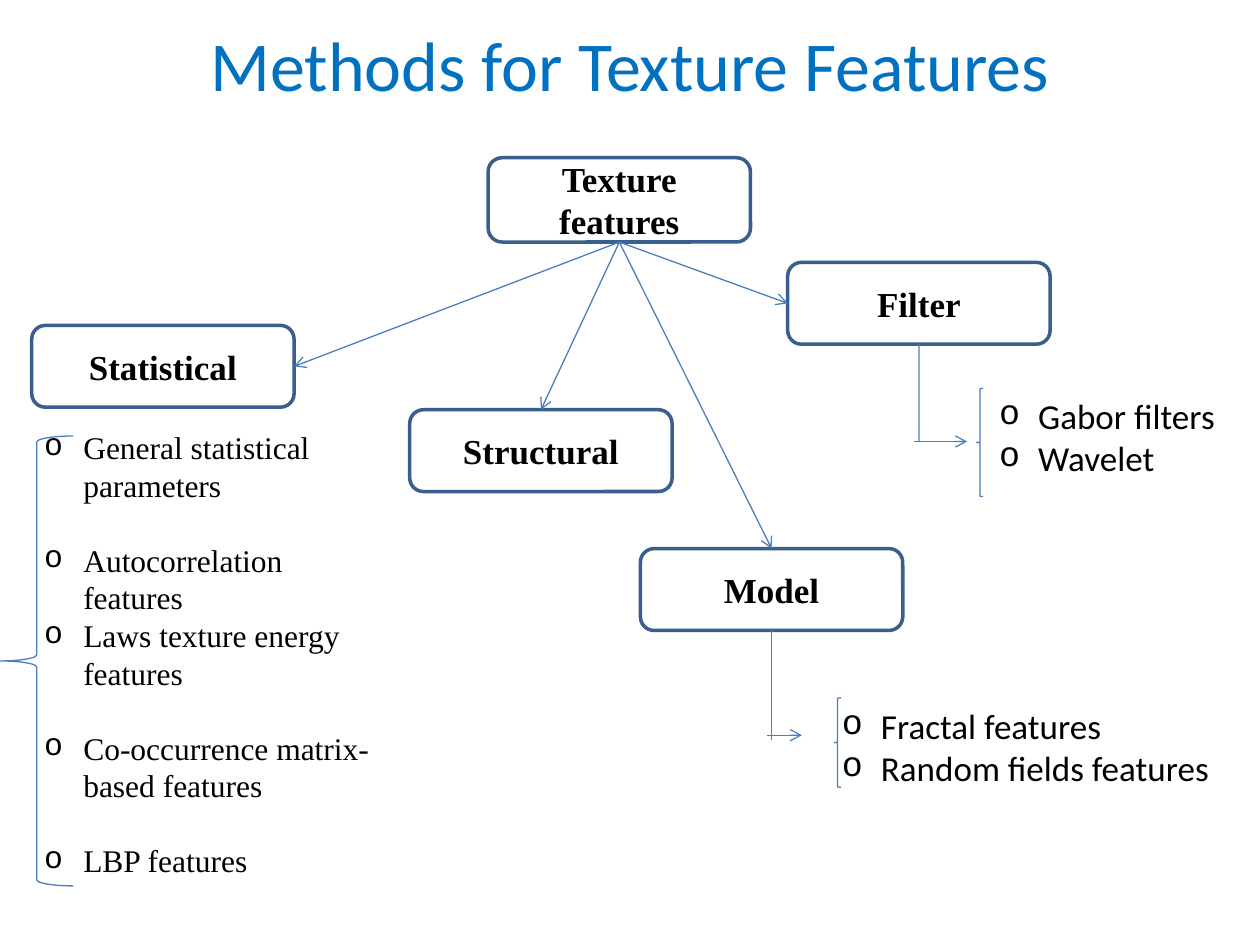
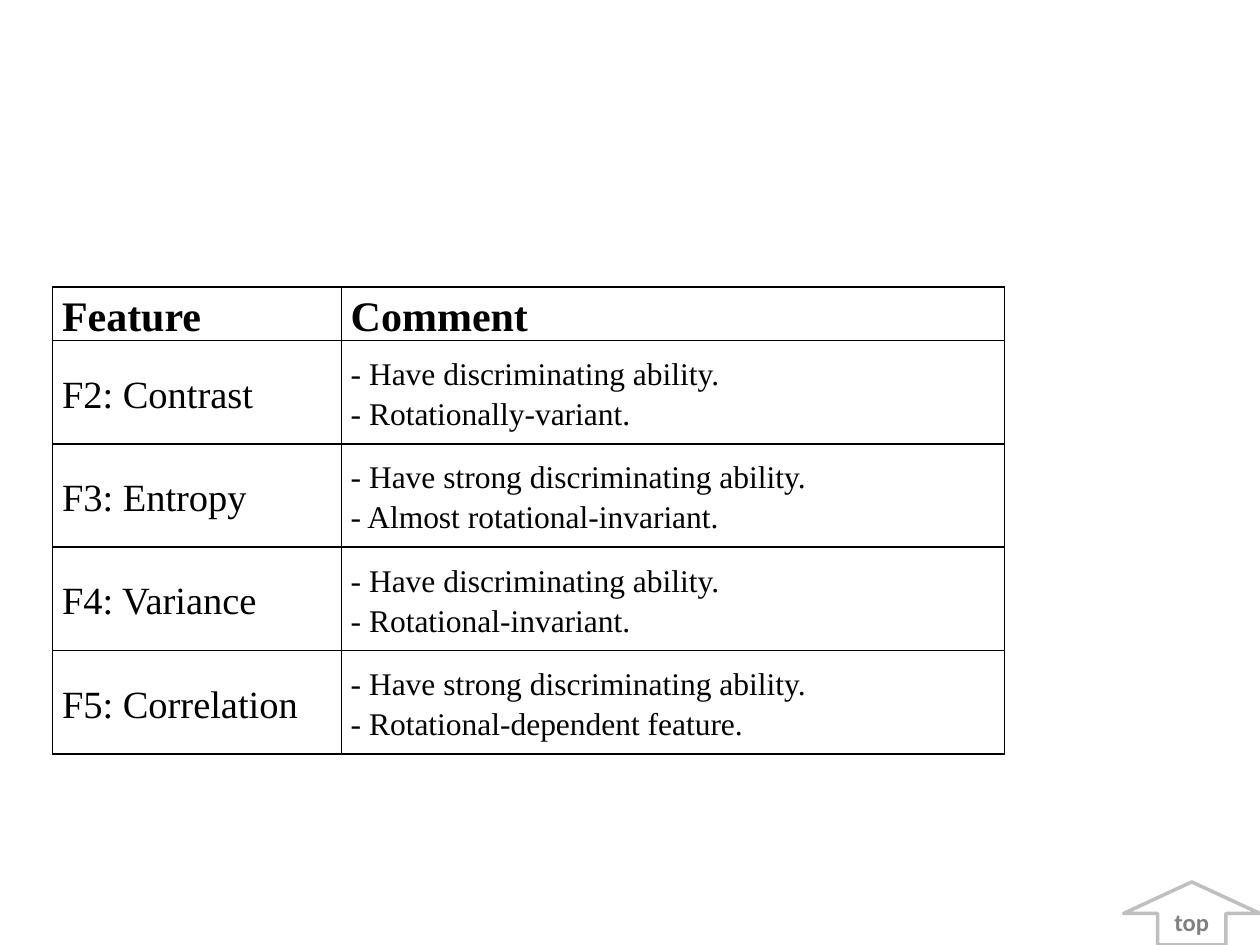
from dataclasses import dataclass

from lxml import etree
from pptx import Presentation
from pptx import util as u
from pptx.dml.color import RGBColor
from pptx.enum import shapes, text
from pptx.oxml import ns

Cm, Pt = u.Cm, u.Pt
SHAPE, ALIGN, ANCHOR = shapes.MSO_SHAPE, text.PP_ALIGN, text.MSO_ANCHOR


@dataclass(frozen=True)
class Theme:
    title: str = "0070C0"
    ink: str = "000000"
    paper: str = "FFFFFF"
    node_line: str = "3A5F8C"
    link: str = "4B7EBC"
    button_line: str = "BFBFBF"
    button_text: str = "808080"
    sans: str = "Calibri"
    serif: str = "Times New Roman"
    title_size: int = 40
    header_size: int = 24
    feature_size: int = 22
    node_size: int = 20
    body_size: int = 18
    button_size: int = 14
    heavy: float = 2
    thin: float = 0.75


T = Theme()


def rgb(value):
    return RGBColor.from_string(value)


def lengths(box):
    return [Cm(v) for v in box]


def within(box, dx, dy, w, h):
    return box[0] + dx, box[1] + dy, w, h


def sub(parent, tag, **attrs):
    return etree.SubElement(parent, ns.qn(tag), attrs)


def write(tf, lines, size=T.body_size, font=T.serif, color=T.ink, bold=False,
          align=ALIGN.LEFT, anchor=ANCHOR.TOP, spacing=None, gaps=(), bullet=None):
    tf.word_wrap = True
    tf.vertical_anchor = anchor
    for i, line in enumerate(lines):
        p = tf.add_paragraph() if i else tf.paragraphs[0]
        p.alignment = align
        if spacing:
            p.line_spacing = spacing
        if i in gaps:
            p.space_after = Pt(21)
        if bullet:
            ppr = p._p.get_or_add_pPr()
            ppr.set("marL", str(Cm(0.79)))
            ppr.set("indent", str(-Cm(0.79)))
            sub(ppr, "a:buFont", typeface="Courier New")
            sub(ppr, "a:buChar", char=bullet)
        r = p.add_run()
        r.text = line
        r.font.size, r.font.name, r.font.bold = Pt(size), font, bold
        r.font.color.rgb = rgb(color)


def add_box(s, kind, box, fill=None, line=None, width=T.thin):
    sp = s.shapes.add_shape(kind, *lengths(box))
    sp.shadow.inherit = False
    if fill:
        sp.fill.solid()
        sp.fill.fore_color.rgb = rgb(fill)
    else:
        sp.fill.background()
    if line:
        sp.line.color.rgb = rgb(line)
        sp.line.width = Pt(width)
    else:
        sp.line.fill.background()
    return sp


def add_link(s, start=(0, 0), end=(0, 0), begin_at=None, end_at=None, arrow=True):
    cx = s.shapes.add_connector(shapes.MSO_CONNECTOR.STRAIGHT, *lengths(start + end))
    if begin_at:
        cx.begin_connect(*begin_at)
    if end_at:
        cx.end_connect(*end_at)
    cx.line.color.rgb = rgb(T.link)
    cx.line.width = Pt(T.thin)
    if arrow:
        sub(cx.line._get_or_add_ln(), "a:tailEnd", type="arrow")
    sub(cx._element.spPr, "a:effectLst")


def add_title(s, box, title):
    sp = s.shapes.add_textbox(*lengths(box))
    write(sp.text_frame, [title], size=T.title_size, font=T.sans, color=T.title,
          align=ALIGN.CENTER, anchor=ANCHOR.MIDDLE)


def add_node(s, box, label):
    sp = add_box(s, SHAPE.ROUNDED_RECTANGLE, box, T.paper, T.node_line, T.heavy)
    write(sp.text_frame, [label], size=T.node_size, bold=True,
          align=ALIGN.CENTER, anchor=ANCHOR.MIDDLE)
    return sp


def add_braced_list(s, box, items, brace, fill=T.paper, **fmt):
    sp = add_box(s, SHAPE.RECTANGLE, box, fill)
    write(sp.text_frame, items, bullet="o", **fmt)
    add_box(s, SHAPE.LEFT_BRACE, within(box, *brace), line=T.link)


def add_elbow(s, node, stem, drop, reach):
    x = (node.left + node.width / 2) / Cm(1)
    y = (node.top + node.height) / Cm(1)
    add_link(s, end=(x, y + stem), begin_at=(node, 2), arrow=False)
    add_link(s, (x - 0.1, y + drop), (x + reach, y + drop))


def add_feature_tree(s, box):
    node_w, node_h = 5.29, 1.65
    root = add_node(s, within(box, 9.84, 0, node_w, 1.7), "Texture features")
    methods = [("Statistical", 0.64, 3.38, 3), ("Structural", 8.26, 5.08, 0),
               ("Model", 12.91, 7.88, 0), ("Filter", 15.88, 2.11, 1)]
    nodes = {}
    for label, dx, dy, side in methods:
        nodes[label] = add_node(s, within(box, dx, dy, node_w, node_h), label)
        add_link(s, begin_at=(root, 2), end_at=(nodes[label], side))

    add_braced_list(s, within(box, 0.64, 5.33, 7.42, 9.5),
                    ["General statistical parameters", "Autocorrelation features",
                     "Laws texture energy features",
                     "Co-occurrence matrix-based features", "LBP features"],
                    (-0.64, 0.28, 1.48, 9.07), gaps=(0, 2, 3))
    sans = dict(size=T.node_size, font=T.sans)
    add_braced_list(s, within(box, 16.72, 10.89, 8.68, 1.95),
                    ["Fractal features", "Random fields features"],
                    (0.1, 0, 0.13, 1.8), **sans)
    add_braced_list(s, within(box, 19.89, 4.65, 5.51, 1.95),
                    ["Gabor filters", "Wavelet"],
                    (-0.2, 0, 0.13, 2.18), fill=None, **sans)
    add_elbow(s, nodes["Model"], 2.21, 2.11, 0.61)
    add_elbow(s, nodes["Filter"], 1.96, 1.96, 0.97)


def border_cell(cell):
    tcpr = cell._tc.get_or_add_tcPr()
    for i, side in enumerate(("a:lnL", "a:lnR", "a:lnT", "a:lnB")):
        ln = etree.Element(ns.qn(side), w=str(Pt(1)))
        sub(sub(ln, "a:solidFill"), "a:srgbClr", val=T.ink)
        tcpr.insert(i, ln)


def add_feature_table(s, box, rows):
    table = s.shapes.add_table(len(rows), 2, *lengths(box)).table
    table.first_row = table.horz_banding = False
    first_w, header_h = 5.82, 1.02
    table.columns[0].width = Cm(first_w)
    table.columns[1].width = Cm(box[2] - first_w)
    for i, row in enumerate(rows):
        table.rows[i].height = Cm((box[3] - header_h) / (len(rows) - 1) if i else header_h)
        for j, lines in enumerate(row):
            cell = table.cell(i, j)
            cell.fill.background()
            cell.margin_left = cell.margin_right = Cm(0.19)
            cell.margin_top = cell.margin_bottom = 0
            cell.vertical_anchor = ANCHOR.MIDDLE
            size = (T.feature_size, T.body_size)[j] if i else T.header_size
            write(cell.text_frame, lines, size=size, bold=i == 0,
                  anchor=ANCHOR.MIDDLE, spacing=1.15)
            border_cell(cell)


def add_top_button(s, box):
    sp = add_box(s, SHAPE.UP_ARROW, box, T.paper, T.button_line, T.heavy)
    write(sp.text_frame, ["top"], size=T.button_size, font=T.sans, color=T.button_text,
          bold=True, align=ALIGN.CENTER, anchor=ANCHOR.MIDDLE)


def methods_slide(s):
    add_title(s, (1.27, 0.43, 22.86, 1.7), "Methods for Texture Features")
    add_feature_tree(s, (0, 3.18, 25.4, 14.83))


def comments_slide(s):
    fair, strong = "- Have discriminating ability.", "- Have strong discriminating ability."
    add_feature_table(s, (1.06, 5.79, 19.19, 9.35), [
        (["Feature"], ["Comment"]),
        (["F2: Contrast"], [fair, "- Rotationally-variant."]),
        (["F3: Entropy"], [strong, "- Almost rotational-invariant."]),
        (["F4: Variance"], [fair, "- Rotational-invariant."]),
        (["F5: Correlation"], [strong, "- Rotational-dependent feature."]),
    ])
    add_top_button(s, (22.65, 17.78, 2.75, 1.27))


def main():
    prs = Presentation()
    prs.slide_width, prs.slide_height = Cm(25.4), Cm(19.05)
    for build in (methods_slide, comments_slide):
        build(prs.slides.add_slide(prs.slide_layouts[6]))
    prs.save("out.pptx")


if __name__ == "__main__":
    main()
